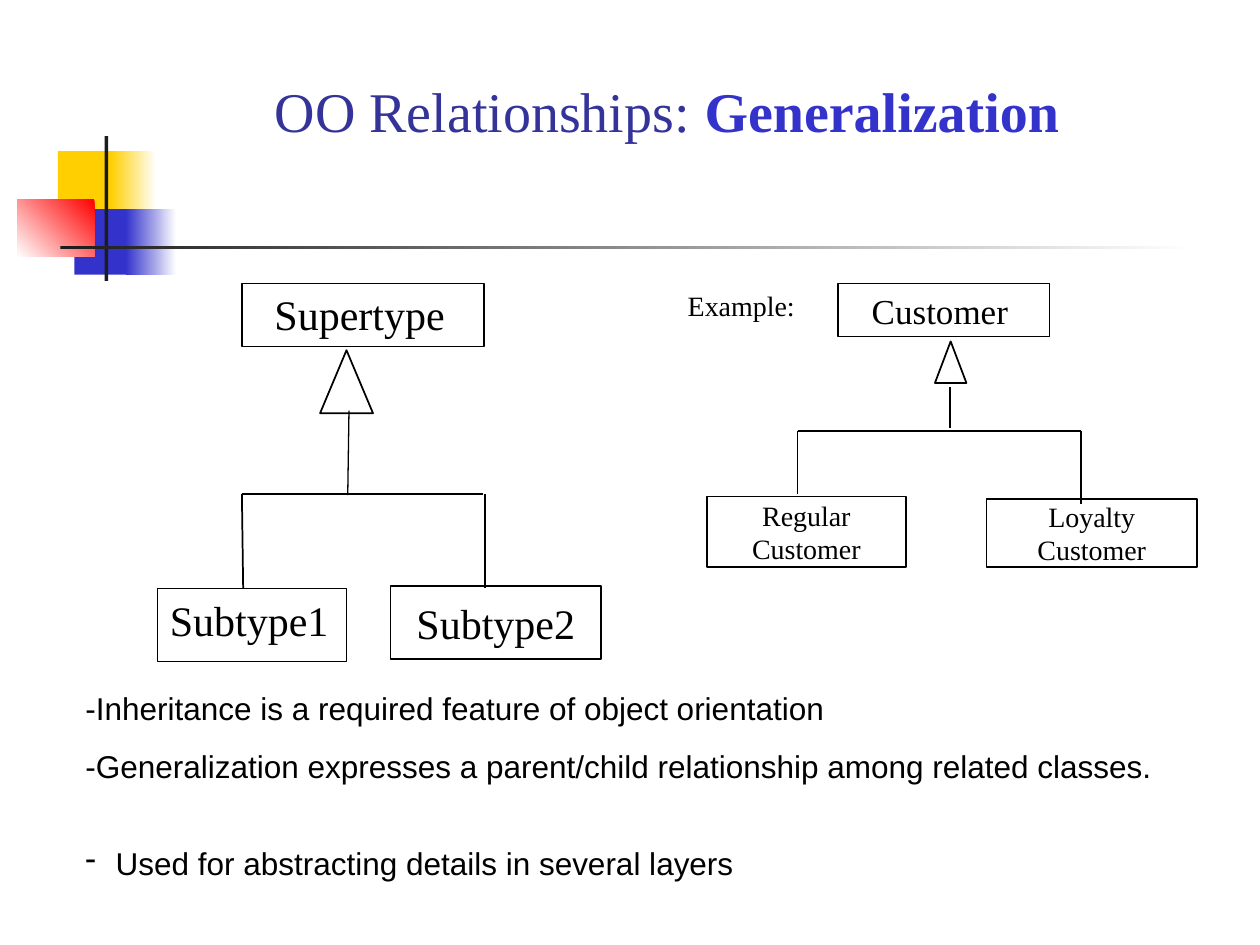
from lxml import etree
from pptx import Presentation, util as u
from pptx.dml.color import RGBColor
from pptx.enum import shapes, text
from pptx.oxml import ns

BLACK = RGBColor(0x00, 0x00, 0x00)
WHITE = RGBColor(0xFF, 0xFF, 0xFF)
YELLOW = RGBColor(0xFF, 0xCF, 0x01)
BLUE = RGBColor(0x33, 0x33, 0xCC)
INDIGO = RGBColor(0x33, 0x33, 0x99)
RED = RGBColor(0xFF, 0x00, 0x00)
CHARCOAL = RGBColor(0x1C, 0x1C, 0x1C)
SERIF, SANS = "Times New Roman", "Arial"
RECT = shapes.MSO_SHAPE.RECTANGLE
TRIANGLE = shapes.MSO_SHAPE.ISOSCELES_TRIANGLE


class SlideBuilder:
    def __init__(self, slide):
        self.slide = slide
        self.shapes = slide.shapes

    def title(self, area, spans, size):
        box = self.shapes.title
        box.left, box.top, box.width, box.height = map(u.Inches, area)
        frame = box.text_frame
        frame.auto_size = text.MSO_AUTO_SIZE.NONE
        frame.vertical_anchor = text.MSO_ANCHOR.TOP
        para = frame.paragraphs[0]
        para.alignment = text.PP_ALIGN.LEFT
        para.font.name, para.font.size = SERIF, u.Pt(size)
        for words, color, bold in spans:
            span = para.add_run()
            span.text = words
            span.font.color.rgb, span.font.bold = color, bold

    def shape(self, kind, area):
        shape = self.shapes.add_shape(kind, *map(u.Inches, area))
        shape.shadow.inherit = False
        return shape

    def block(self, area, color, fade_angle=None):
        """Borderless rectangle, solid or fading to white along an angle."""
        block = self.shape(RECT, area)
        block.line.fill.background()
        if fade_angle is None:
            block.fill.solid()
            block.fill.fore_color.rgb = color
            return
        block.fill.gradient()
        block.fill.gradient_angle = fade_angle
        for stop, shade in zip(block.fill.gradient_stops, (color, WHITE)):
            stop.color.rgb = shade

    def outline(self, kind, area, lines=(), size=16):
        """Unfilled shape with optional centred lines of text."""
        shape = self.shape(kind, area)
        shape.fill.background()
        shape.line.color.rgb, shape.line.width = BLACK, u.Pt(1)
        if lines:
            shape.text_frame.word_wrap = False
            shape.text_frame.vertical_anchor = text.MSO_ANCHOR.MIDDLE
            self.set_lines(shape.text_frame, lines, size, SERIF, text.PP_ALIGN.CENTER)

    def label(self, area, lines, size, font=SERIF):
        box = self.shapes.add_textbox(*map(u.Inches, area))
        box.text_frame.word_wrap = True
        return self.set_lines(box.text_frame, lines, size, font, text.PP_ALIGN.LEFT)

    def set_lines(self, frame, lines, size, font, alignment):
        for index, line in enumerate(lines):
            para = frame.add_paragraph() if index else frame.paragraphs[0]
            para.text, para.alignment = line, alignment
            para.font.name, para.font.size = font, u.Pt(size)
            para.font.color.rgb = BLACK
        return frame.paragraphs

    def bullet(self, para, mark, indent):
        props = para._p.get_or_add_pPr()
        props.set("marL", str(u.Inches(indent)))
        props.set("indent", str(-u.Inches(indent)))
        bullet = etree.Element(ns.qn("a:buChar"), char=mark)
        props.insert_element_before(bullet, "a:tabLst", "a:defRPr", "a:extLst")

    def line(self, x1, y1, x2, y2, width=1):
        line = self.shapes.add_connector(
            shapes.MSO_CONNECTOR.STRAIGHT, *map(u.Inches, (x1, y1, x2, y2)))
        line.line.color.rgb, line.line.width = BLACK, u.Pt(width)
        etree.SubElement(line._element.spPr, ns.qn("a:effectLst"))


def draw_ornament(page):
    page.block((0.46, 1.2, 0.48, 0.52), YELLOW)
    page.block((0.88, 1.2, 0.36, 0.52), YELLOW, 0)
    page.block((0.59, 1.66, 0.46, 0.52), BLUE)
    page.block((1, 1.66, 0.4, 0.52), BLUE, 0)
    page.block((0.14, 1.58, 0.61, 0.46), RED, 225)
    page.block((0.83, 1.08, 0.03, 1.15), CHARCOAL)
    page.block((0.48, 1.95, 9, 0.03), CHARCOAL, 0)


def draw_type_tree(page):
    page.outline(RECT, (1.92, 2.25, 1.92, 0.5))
    page.label((2.08, 2.24, 1.92, 0.5), ["Supertype"], 24)
    page.outline(TRIANGLE, (2.54, 2.78, 0.42, 0.5))
    page.outline(RECT, (1.25, 4.67, 1.5, 0.58))
    page.label((1.25, 4.67, 1.5, 0.5), ["Subtype1"], 24)
    page.outline(RECT, (3.1, 4.65, 1.67, 0.58), ["Subtype2"], 24)
    page.line(2.76, 3.93, 2.77, 3.26, 0.75)
    page.line(1.92, 3.92, 3.83, 3.92)
    page.line(1.92, 3.92, 1.93, 4.67)
    page.line(3.85, 3.92, 3.85, 4.67)


def draw_customer_tree(page):
    page.label((5.36, 2.24, 1.25, 0.37), ["Example:"], 16)
    page.outline(RECT, (6.65, 2.25, 1.68, 0.42))
    page.label((6.82, 2.25, 1.92, 0.44), ["Customer"], 20)
    page.outline(TRIANGLE, (7.42, 2.71, 0.25, 0.33))
    page.outline(RECT, (5.61, 3.94, 1.58, 0.56), ["Regular", "Customer"])
    page.outline(RECT, (7.83, 3.96, 1.67, 0.54), ["Loyalty", "Customer"])
    page.line(7.54, 3.07, 7.54, 3.4)
    page.line(6.33, 3.42, 8.58, 3.42)
    page.line(6.33, 3.42, 6.33, 3.92, 0.75)
    page.line(8.58, 3.42, 8.58, 4, 0.75)


def draw_notes(page):
    paras = page.label((0.58, 5.42, 8.67, 1.62), [
        "-Inheritance is a required feature of object orientation",
        "-Generalization expresses a parent/child relationship among related classes.",
        "Used for abstracting details in several layers",
    ], 18, SANS)
    for para, gap in zip(paras[1:], (11.2, 34)):
        para.space_before = u.Pt(gap)
    page.bullet(paras[-1], "-", 0.24)


def main():
    deck = Presentation()
    deck.slide_width, deck.slide_height = u.Inches(10), u.Inches(7.5)
    page = SlideBuilder(deck.slides.add_slide(deck.slide_layouts.get_by_name("Title Only")))
    draw_ornament(page)
    page.title((2.08, 0.56, 6.81, 0.64), [
        ("OO Relationships: ", INDIGO, False),
        ("Generalization", BLUE, True),
    ], 32)
    draw_type_tree(page)
    draw_customer_tree(page)
    draw_notes(page)
    deck.save("out.pptx")


if __name__ == "__main__":
    main()
